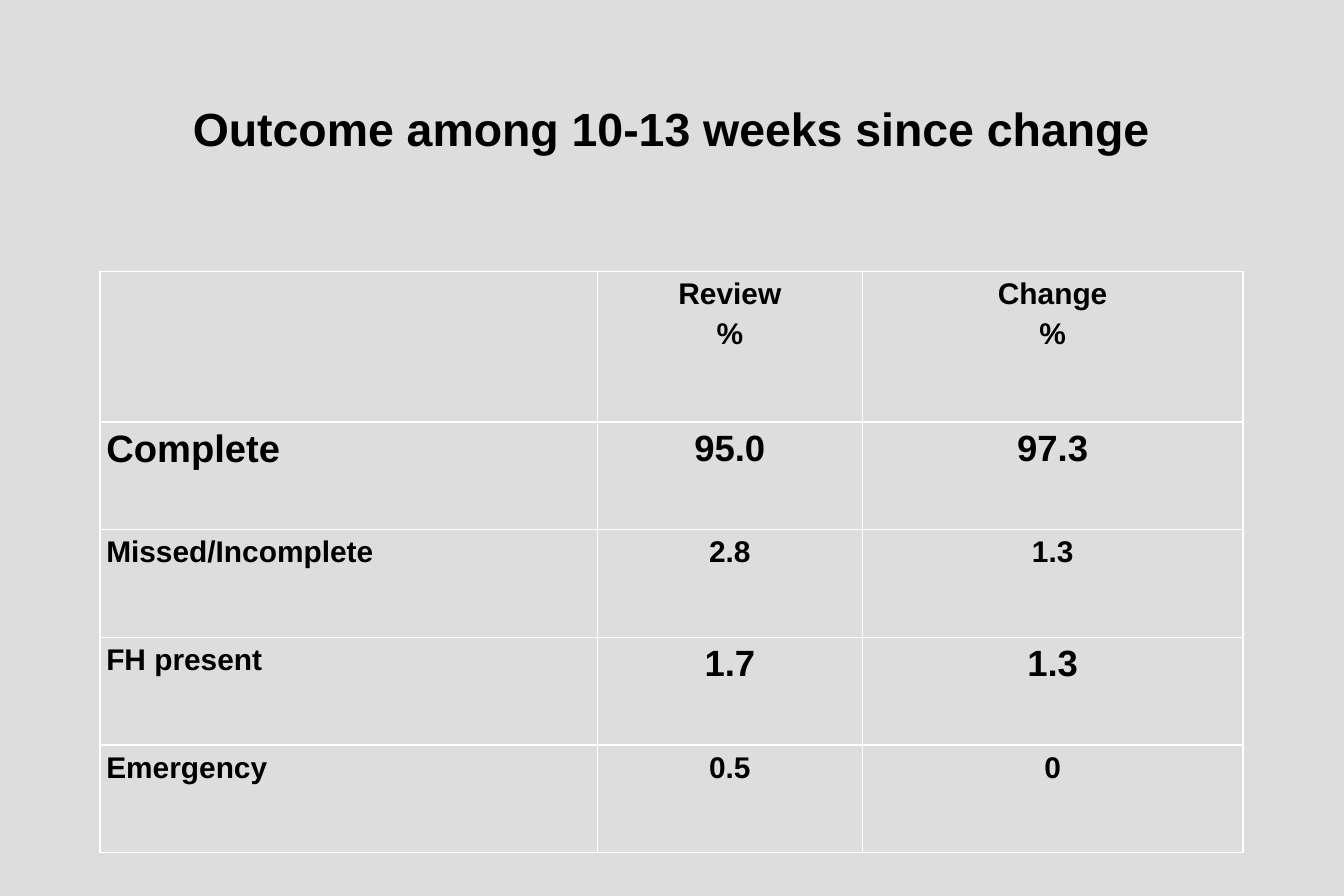
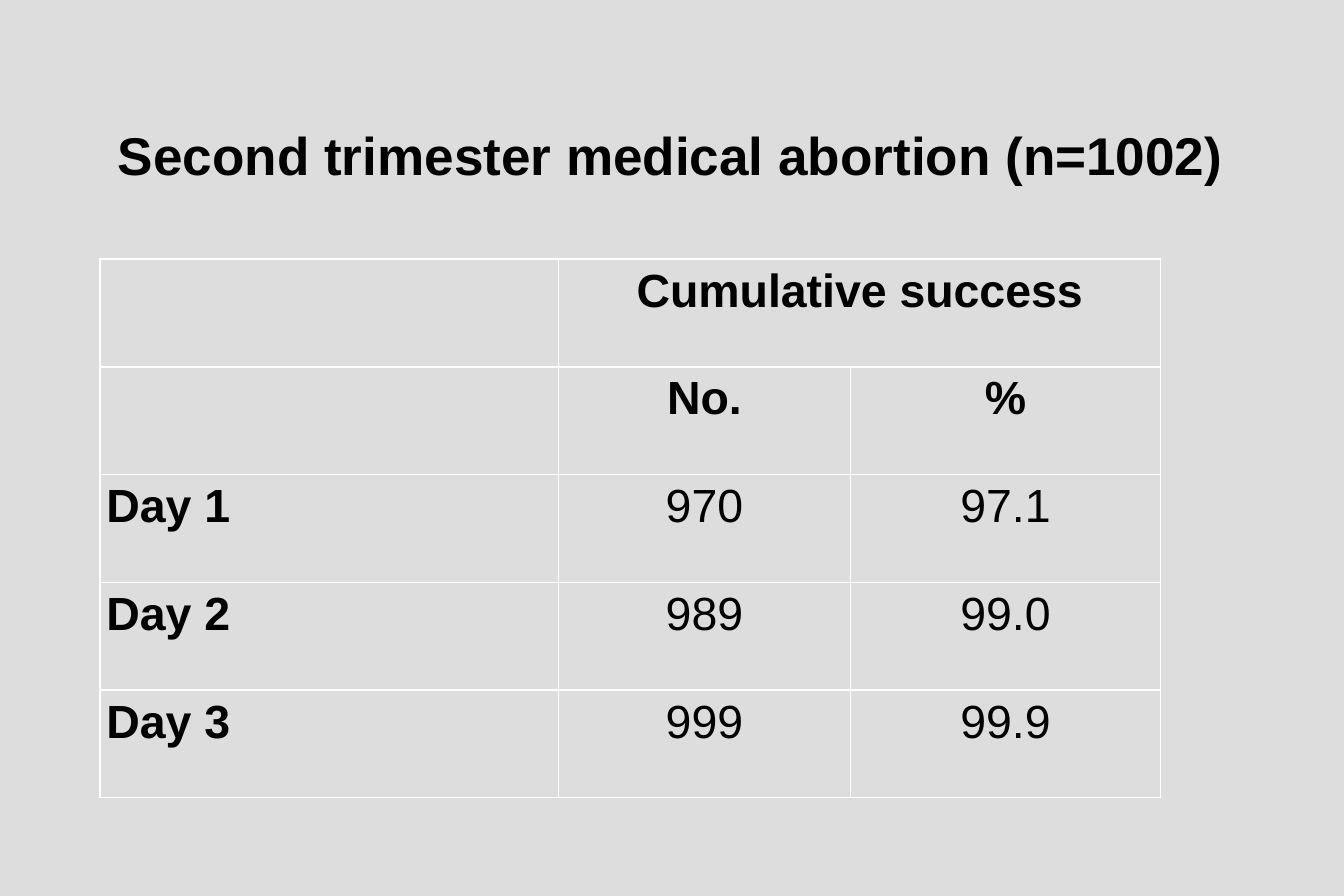
from lxml import etree
from pptx import Presentation
from pptx.dml.color import RGBColor
from pptx.enum.text import MSO_ANCHOR, MSO_AUTO_SIZE, PP_ALIGN
from pptx.oxml.ns import qn
from pptx.util import Cm, Pt

LEFT, CENTER = PP_ALIGN.LEFT, PP_ALIGN.CENTER
TOP, MIDDLE = MSO_ANCHOR.TOP, MSO_ANCHOR.MIDDLE
NO_AUTOFIT = MSO_AUTO_SIZE.NONE
TITLE_ONLY = 5

GREY, WHITE, BLACK = "DDDDDD", "FFFFFF", "000000"
FONT = "Arial"
INSET = Cm(0.13)
BORDER = Pt(1)
MARGIN = 2.13
TITLE_WIDTH, TITLE_HEIGHT = 24.28, 3.18
ROW_HEIGHT = 2.29


def paint(color_format, color):
    """Give a fill or font colour its hex value."""
    color_format.rgb = RGBColor.from_string(color)


def fill_solid(fill, color):
    """Fill an area with one hex colour."""
    fill.solid()
    paint(fill.fore_color, color)


def set_insets(target):
    """Apply the shared inner margins to a text frame or cell."""
    target.margin_left = target.margin_right = INSET
    target.margin_top = target.margin_bottom = INSET


def style_paragraph(paragraph, size, bold, alignment):
    """Set the shared font with the given size, weight and alignment."""
    paragraph.alignment = alignment
    font = paragraph.font
    font.name, font.size, font.bold = FONT, Pt(size), bold
    paint(font.color, BLACK)


def add_title(slide, text, top, size):
    """Place and format the title placeholder."""
    title = slide.shapes.title
    title.left, title.top = Cm(MARGIN), Cm(top)
    title.width, title.height = Cm(TITLE_WIDTH), Cm(TITLE_HEIGHT)
    frame = title.text_frame
    frame.text = text
    frame.auto_size = NO_AUTOFIT
    frame.word_wrap = True
    frame.vertical_anchor = MIDDLE
    set_insets(frame)
    style_paragraph(frame.paragraphs[0], size, True, CENTER)


def add_borders(cell, color):
    """Draw a thin line on all four sides of a cell."""
    properties = cell._tc.get_or_add_tcPr()
    for side in ("a:lnL", "a:lnR", "a:lnT", "a:lnB"):
        line = etree.SubElement(properties, qn(side), w=str(BORDER))
        solid = etree.SubElement(line, qn("a:solidFill"))
        etree.SubElement(solid, qn("a:srgbClr"), val=color)


def fill_cell(cell, text, size, bold, alignment, space_before):
    """Write and format one table cell."""
    add_borders(cell, WHITE)
    fill_solid(cell.fill, GREY)
    set_insets(cell)
    cell.vertical_anchor = TOP
    cell.text = text
    for paragraph in cell.text_frame.paragraphs:
        style_paragraph(paragraph, size, bold, alignment)
        paragraph.space_before = Pt(space_before)


def add_data_table(slide, top, widths, heights, rows, space_before, merge=None):
    """Build a table from rows of texts, label size, value size and value weight."""
    table = slide.shapes.add_table(
        len(rows), len(widths), Cm(MARGIN), Cm(top),
        Cm(sum(widths)), Cm(sum(heights))).table
    table.first_row = table.horz_banding = False
    for column, width in zip(table.columns, widths):
        column.width = Cm(width)
    for row, height in zip(table.rows, heights):
        row.height = Cm(height)
    if merge:
        first, last = merge
        table.cell(*first).merge(table.cell(*last))
    for row_index, (texts, label_size, value_size, value_bold) in enumerate(rows):
        for column_index, text in enumerate(texts):
            cell = table.cell(row_index, column_index)
            if cell.is_spanned:
                continue
            if column_index == 0:
                fill_cell(cell, text, label_size, True, LEFT, space_before)
            else:
                fill_cell(cell, text, value_size, value_bold, CENTER, space_before)


def build_outcome_slide(presentation):
    """Add the slide comparing review and change outcomes."""
    slide = presentation.slides.add_slide(presentation.slide_layouts[TITLE_ONLY])
    add_title(slide, "Outcome among 10-13 weeks since change", 1.12, 28)
    rows = [
        (("", "Review\n%", "Change\n%"), 18, 18, True),
        (("Complete", "95.0", "97.3"), 23, 22, True),
        (("Missed/Incomplete", "2.8", "1.3"), 18, 18, True),
        (("FH present", "1.7", "1.3"), 18, 22, True),
        (("Emergency", "0.5", "0"), 18, 18, True),
    ]
    add_data_table(slide, 5.77, (10.57, 5.64, 8.09),
                   [3.2] + [ROW_HEIGHT] * 4, rows, 4)


def build_success_slide(presentation):
    """Add the slide of cumulative success by day."""
    slide = presentation.slides.add_slide(presentation.slide_layouts[TITLE_ONLY])
    add_title(slide, "Second trimester medical abortion (n=1002)", 1.7, 32)
    rows = [
        (("", "Cumulative success", ""), 28, 28, True),
        (("", "No.", "%"), 28, 28, True),
        (("Day 1", "970", "97.1"), 28, 28, False),
        (("Day 2", "989", "99.0"), 28, 28, False),
        (("Day 3", "999", "99.9"), 28, 28, False),
    ]
    add_data_table(slide, 5.51, (9.75, 6.2, 6.6),
                   [ROW_HEIGHT] * 5, rows, 6, merge=((0, 1), (0, 2)))


def main():
    """Build and save the presentation."""
    presentation = Presentation()
    presentation.slide_width, presentation.slide_height = Cm(28.58), Cm(19.05)
    fill_solid(presentation.slide_master.background.fill, GREY)
    build_outcome_slide(presentation)
    build_success_slide(presentation)
    presentation.save("out.pptx")


if __name__ == "__main__":
    main()
